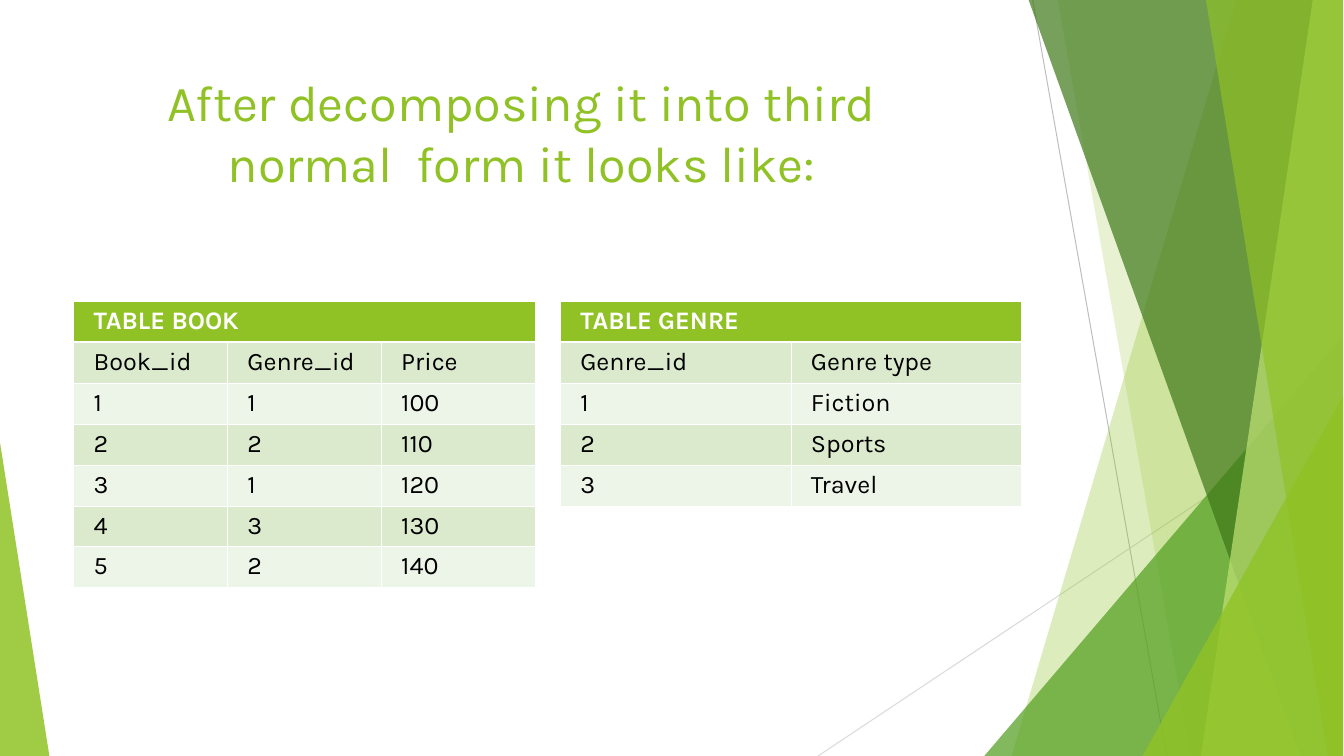
from lxml.etree import SubElement as Sub
from pptx import Presentation
from pptx.dml.color import RGBColor as Rgb
from pptx.enum.shapes import MSO_CONNECTOR as Conn
from pptx.enum.text import PP_ALIGN as Align
from pptx.oxml.ns import qn
from pptx.util import Inches, Pt

COLORS = {
    "lime": "90C225", "leaf": "539F20", "forest": "3E7818", "pale": "C0E374",
    "white": "FFFFFF", "black": "000000", "band1": "DBE9CD", "band2": "EDF4E8",
    "gray": "BEBEBE", "silver": "D9D9D9",
}
WIDE, HIGH = 13.33, 7.5


class Deck:
    font = "Karla"

    def __init__(self):
        self.prs = Presentation()
        self.prs.slide_width, self.prs.slide_height = Inches(13.34), Inches(HIGH)
        self.slide = self.prs.slides.add_slide(self.prs.slide_layouts[6])
        self.shapes = self.slide.shapes

    def color(self, name):
        return Rgb.from_string(COLORS[name])

    def line(self, start, end, color):
        line = self.shapes.add_connector(
            Conn.STRAIGHT, *(Inches(v) for v in start + end))
        line.line.color.rgb = self.color(color)
        line.line.width = Pt(0.71)
        Sub(line._element.spPr, qn("a:effectLst"))

    def facet(self, points, color, alpha):
        first, *rest = [(Inches(x), Inches(y)) for x, y in points]
        form = self.shapes.build_freeform(*first, scale=1.0)
        form.add_line_segments(rest, close=True)
        shape = form.convert_to_shape()
        shape.shadow.inherit = False
        shape.line.fill.background()
        shape.fill.solid()
        shape.fill.fore_color.rgb = self.color(color)
        tint = shape._element.spPr.find(".//" + qn("a:srgbClr"))
        Sub(tint, qn("a:alpha"), val=str(alpha * 1000))

    def style(self, para, size, color, bold=False):
        font = para.font
        font.name, font.size, font.bold = self.font, Pt(size), bold
        font.color.rgb = self.color(color)

    def title(self, text, left, top, width, height):
        box = self.shapes.add_textbox(*map(Inches, (left, top, width, height)))
        frame = box.text_frame
        frame.word_wrap = True
        frame.margin_left = frame.margin_right = frame.margin_bottom = 0
        frame.margin_top = Inches(0.02)
        para = frame.paragraphs[0]
        para.text, para.alignment = text, Align.CENTER
        self.style(para, 36, "lime")

    def border(self, cell, side, width):
        edge = Sub(cell._tc.get_or_add_tcPr(), qn("a:ln" + side),
                   w=str(int(Pt(width))))
        fill = Sub(edge, qn("a:solidFill"))
        Sub(fill, qn("a:srgbClr"), val=COLORS["white"])

    def cell(self, cell, text, row):
        head = row == 0
        cell.margin_left, cell.margin_right = Inches(0.2), 0
        cell.margin_top, cell.margin_bottom = Inches(0.05), 0
        for side in "LRTB":
            thick = (row, side) in ((0, "B"), (1, "T"))
            self.border(cell, side, 1.47 if thick else 0.45)
        cell.fill.solid()
        shade = "lime" if head else "band1" if row % 2 else "band2"
        cell.fill.fore_color.rgb = self.color(shade)
        para = cell.text_frame.paragraphs[0]
        para.text = text
        self.style(para, 18, "white" if head else "black", head)

    def table(self, name, rows, left, top, width, height):
        count = len(rows[0])
        rows = [[name] + [""] * (count - 1)] + rows
        frame = self.shapes.add_table(
            len(rows), count, *map(Inches, (left, top, width, height)))
        table = frame.table
        for r, row in enumerate(rows):
            for c, text in enumerate(row):
                self.cell(table.cell(r, c), text, r)
        table.cell(0, 0).merge(table.cell(0, count - 1))


def main():
    deck = Deck()

    # Thin lines behind the facets
    deck.line((10.25, 0), (11.58, HIGH), "gray")
    deck.line((WIDE, 4.03), (8.12, HIGH), "silver")

    # Facets along the right edge: top corner, bottom x, colour, opacity
    for corner, foot, color, alpha in [
        ((12.27, 0), 10.04, "lime", 30),
        ((10.5, 0), 11.82, "lime", 20),
        ((WIDE, 3.33), 9.77, "leaf", 72),
        ((10.21, 0), 12.91, "forest", 70),
        ((13.03, 0), 11.92, "pale", 70),
        ((11.97, 0), 13.18, "lime", 65),
        ((WIDE, 3.93), 11.34, "lime", 80),
    ]:
        points = [corner, (foot, HIGH), (WIDE, HIGH)]
        if corner[0] < WIDE:
            points.append((WIDE, 0))
        deck.facet(points, color, alpha)

    # Facet at the lower left
    deck.facet([(0, 4.39), (0, HIGH), (0.49, HIGH)], "lime", 85)

    # Title
    deck.title("After decomposing it into third normal  form it looks like:",
               0.83, 0.69, 8.7, 1.23)

    # Tables
    deck.table("TABLE BOOK", [
        ["Book_id", "Genre_id", "Price"],
        ["1", "1", "100"],
        ["2", "2", "110"],
        ["3", "1", "120"],
        ["4", "3", "130"],
        ["5", "2", "140"],
    ], 0.73, 2.99, 4.58, 2.84)
    deck.table("TABLE GENRE", [
        ["Genre_id", "Genre type"],
        ["1", "Fiction"],
        ["2", "Sports"],
        ["3", "Travel"],
    ], 5.56, 2.99, 4.58, 2.03)

    deck.prs.save("out.pptx")


if __name__ == "__main__":
    main()
